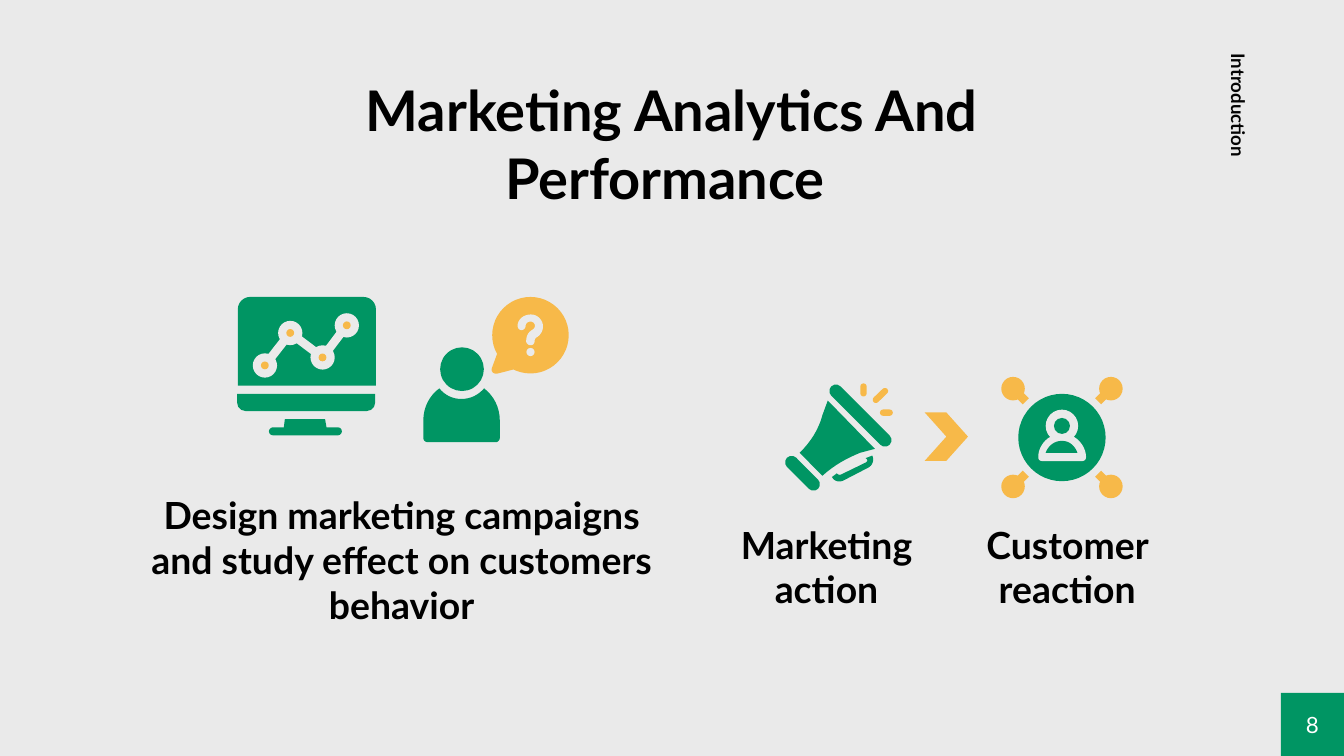
from math import atan2, degrees, hypot

from lxml import etree
from pptx import Presentation
from pptx.dml.color import RGBColor
from pptx.enum.shapes import MSO_CONNECTOR, MSO_SHAPE
from pptx.enum.text import MSO_ANCHOR, MSO_AUTO_SIZE, PP_ALIGN
from pptx.oxml.ns import qn
from pptx.util import Pt

OVAL, RECTANGLE = MSO_SHAPE.OVAL, MSO_SHAPE.RECTANGLE
ROUNDED, ROUND_TOP = MSO_SHAPE.ROUNDED_RECTANGLE, MSO_SHAPE.ROUND_2_SAME_RECTANGLE
CHEVRON, STRAIGHT = MSO_SHAPE.CHEVRON, MSO_CONNECTOR.STRAIGHT
TOP, MIDDLE = MSO_ANCHOR.TOP, MSO_ANCHOR.MIDDLE
LEFT, CENTER = PP_ALIGN.LEFT, PP_ALIGN.CENTER
NO_AUTOFIT = MSO_AUTO_SIZE.NONE

FONT = "Lato"
GREEN, YELLOW, GRAY = "009563", "F7B949", "EAEAEA"
BLACK, WHITE, INK = "000000", "FFFFFF", "030303"

TITLE = ("Marketing Analytics And Performance ", (116.6, 31, 486.7, 91.4))
CAPTIONS = [
    ("Design marketing campaigns and study effect on customers behavior",
     (77, 251.3, 276.5, 97)),
    ("Marketing action", (375.1, 243.4, 135.4, 120.2)),
    ("Customer reaction", (504, 243.4, 135.4, 120.2)),
]
SECTION = ("Introduction", (607.7, 53.3, 99.4, 36))
PAGE = ("8", (686.2, 371.2, 33.8, 33.8))

CHART_NODES = [(141.9, 195.8), (155.5, 178.4), (172.8, 191.5), (185.8, 174.3)]
MONITOR_NECK = [(152.6, 224.6), (174.2, 224.6), (175, 229.4), (152, 229.4)]
SHOULDERS = [
    (235.4, 208.1), (230.2, 211.9, 226.8, 218.2, 226.8, 225.4), (226.8, 234.7),
    (226.8, 235.8, 227.8, 236.9, 229, 236.9), (265.7, 236.9),
    (266.9, 236.9, 267.8, 235.8, 267.8, 234.7), (267.8, 225.4),
    (267.8, 218.2, 264.6, 212.2, 259.4, 208.1),
    (256.3, 211.7, 252, 213.8, 247.2, 213.8),
    (242.4, 213.8, 238.3, 211.7, 235.4, 208.1),
]
BUBBLE_TAIL = [
    (266.4, 189.4), (263.5, 197.3), (263.2, 198.2, 263.5, 199.2, 264.2, 199.7),
    (265, 200.2, 265.7, 200.3, 266.4, 200.2), (275, 198), (280, 185),
]
QUESTION_HOOK = [
    (284.4, 168.5), (288, 168.5, 290.9, 171.4, 290.9, 175),
    (290.9, 177.5, 289.4, 179.8, 287.3, 180.9),
    (286.7, 181.3, 286.4, 182.1, 286.4, 182.9),
    (286.4, 184.1, 285.5, 185, 284.4, 185),
    (283.1, 185, 281.9, 184.1, 281.9, 182.9),
    (281.9, 180, 283, 178, 285.1, 176.8),
    (286, 176.2, 286.6, 175.5, 286.6, 174.6),
    (286.6, 173.3, 285.5, 172.3, 284.2, 172.3),
    (282.9, 172.3, 281.6, 173.3, 281.6, 174.6),
    (281.6, 175.8, 280.6, 176.9, 279.4, 176.9),
    (278.2, 176.9, 277.3, 175.8, 277.3, 174.6),
    (277.3, 171.3, 280.4, 168.5, 284.4, 168.5),
]
HORN = [
    (443.5, 214.6), (440.6, 222.5), (438.5, 230.4, 434.2, 236.9, 428.4, 242.6),
    (440.6, 254.9), (447.1, 249.1, 453.6, 245.5, 460.8, 242.6), (468.7, 240.5),
]
HANDLE = [
    (467.3, 244.1), (463.7, 245.5), (465.1, 246.2, 464.8, 247.3, 463.7, 247.9),
    (450.7, 254.2), (450, 254.6, 449.2, 254.4, 448.6, 254), (448.4, 253.6),
    (445.7, 255.6), (446.4, 256.6), (447.8, 258.1, 450, 258.5, 452.2, 257.3),
    (465.1, 250.6), (467.3, 249.6, 468.5, 246.7, 467.3, 244.1),
]
MEGAPHONE_BARS = [
    ((447.8, 209.5), (474.1, 235.8), 7, GREEN),
    ((424.1, 247.7), (435.8, 259.4), 7, GREEN),
    ((469.2, 214.2), (474.1, 209.5), 3.4, YELLOW),
    ((462.6, 207.1), (462.6, 210.7), 3.4, YELLOW),
    ((473.1, 221.1), (476.6, 221.1), 3.4, YELLOW),
]
CUSTOMER_CENTER = (568.9, 234.4)
CUSTOMER_BODY = [
    (575.3, 234), (579, 236.2, 581.8, 240.5, 581.8, 244.8),
    (581.8, 246.2, 581, 247, 579.6, 247), (558.4, 247),
    (557, 247, 556.2, 246.2, 556.2, 244.8),
    (556.2, 240.5, 558.8, 236.2, 562.7, 234),
]
CUSTOMER_CHEST = [
    (568.9, 236.2), (564.8, 236.2, 561.4, 239, 560.2, 242.6), (577.2, 242.6),
    (576, 239, 573, 236.2, 568.9, 236.2),
]

presentation = Presentation()
presentation.slide_width, presentation.slide_height = Pt(720), Pt(405)
slide = presentation.slides.add_slide(presentation.slide_layouts[5])


def paint(fill, color):
    fill.solid()
    fill.fore_color.rgb = RGBColor.from_string(color)


def finish(shape, color):
    shape.shadow.inherit = False
    paint(shape.fill, color)
    shape.line.fill.background()
    return shape


def add_preset(kind, box, color, adjustments=()):
    shape = slide.shapes.add_shape(kind, *map(Pt, box))
    for index, value in enumerate(adjustments):
        shape.adjustments[index] = value
    return finish(shape, color)


def add_disc(center, radius, color):
    x, y = center
    add_preset(OVAL, (x - radius, y - radius, 2 * radius, 2 * radius), color)


def add_capsule(start, end, width, color):
    (x1, y1), (x2, y2) = start, end
    length = hypot(x2 - x1, y2 - y1) + width
    box = ((x1 + x2 - length) / 2, (y1 + y2 - width) / 2, length, width)
    add_preset(ROUNDED, box, color, [0.5]).rotation = degrees(atan2(y2 - y1, x2 - x1))


def add_line(start, end, width, color):
    connector = slide.shapes.add_connector(STRAIGHT, *map(Pt, (*start, *end)))
    connector.line.width = Pt(width)
    paint(connector.line.fill, color)
    etree.SubElement(connector._element.spPr, qn("a:effectLst"))


def add_outline(segments, color, steps=8):
    points = [segments[0]]
    for segment in segments[1:]:
        if len(segment) == 2:
            points.append(segment)
            continue
        controls = [points[-1], segment[:2], segment[2:4], segment[4:]]
        for step in range(1, steps + 1):
            t = step / steps
            weights = ((1 - t) ** 3, 3 * t * (1 - t) ** 2, 3 * t * t * (1 - t), t ** 3)
            points.append(tuple(
                sum(weight * control[axis] for weight, control in zip(weights, controls))
                for axis in (0, 1)))
    points = [(Pt(x), Pt(y)) for x, y in points]
    builder = slide.shapes.build_freeform(*points[0], scale=1)
    builder.add_line_segments(points[1:], close=True)
    finish(builder.convert_to_shape(), color)


def write(shape, text, size, color, bold=True, align=CENTER, anchor=MIDDLE, side=0):
    frame = shape.text_frame
    frame.word_wrap, frame.auto_size, frame.vertical_anchor = True, NO_AUTOFIT, anchor
    frame.margin_left = frame.margin_right = Pt(side)
    frame.margin_top = frame.margin_bottom = Pt(7.2)
    paragraph = frame.paragraphs[0]
    paragraph.alignment = align
    run = paragraph.add_run()
    run.text = text
    run.font.name, run.font.size, run.font.bold = FONT, Pt(size), bold
    run.font.color.rgb = RGBColor.from_string(color)
    return paragraph


def draw_monitor():
    add_preset(ROUND_TOP, (127.4, 159.1, 74, 47.5), GREEN, [0.14, 0])
    add_preset(ROUND_TOP, (127, 211, 74, 9.2), GREEN, [0, 0.5])
    add_outline(MONITOR_NECK, GREEN)
    add_capsule((146.2, 231.1), (181, 231.1), 4.3, GREEN)
    for start, end in zip(CHART_NODES, CHART_NODES[1:]):
        add_line(start, end, 4.6, GRAY)
    for node in CHART_NODES:
        add_disc(node, 6.5, GRAY)
        add_disc(node, 2.1, YELLOW)


def draw_asking_person():
    add_disc((247.5, 197.8), 11.7, GREEN)
    add_outline(SHOULDERS, GREEN)
    add_disc((284.2, 179.6), 20.5, YELLOW)
    add_outline(BUBBLE_TAIL, YELLOW)
    add_outline(QUESTION_HOOK, GRAY)
    add_disc((284.2, 188.6), 2.2, GRAY)


def draw_megaphone():
    for bar in MEGAPHONE_BARS:
        add_capsule(*bar)
    add_outline(HORN, GREEN)
    add_outline(HANDLE, GREEN)


def draw_customer():
    x, y = CUSTOMER_CENTER
    for dx in (-1, 1):
        for dy in (-1, 1):
            satellite = (x + 26.2 * dx, y + 26.2 * dy)
            add_disc(satellite, 6.3, YELLOW)
            add_line(satellite, (x + 19.4 * dx, y + 19.4 * dy), 4.6, YELLOW)
    add_disc(CUSTOMER_CENTER, 23.4, GREEN)
    add_disc((x, 228.2), 8.7, GRAY)
    add_outline(CUSTOMER_BODY, GRAY)
    add_disc((x, 228.2), 4.3, GREEN)
    add_outline(CUSTOMER_CHEST, GREEN)


paint(slide.background.fill, GRAY)

text, box = TITLE
title = slide.shapes.title
title.left, title.top, title.width, title.height = map(Pt, box)
write(title, text, 30, BLACK)

text, box = PAGE
write(add_preset(RECTANGLE, box, GREEN), text, 12, WHITE, bold=False, side=7.2)

text, box = SECTION
section = slide.shapes.add_textbox(*map(Pt, box))
section.rotation = 90
write(section, text, 10, INK, align=LEFT, anchor=TOP, side=7.2).line_spacing = 0.9

for text, box in CAPTIONS:
    write(slide.shapes.add_textbox(*map(Pt, box)), text, 20, BLACK)

draw_monitor()
draw_asking_person()
draw_megaphone()
add_preset(CHEVRON, (495.4, 221, 23.2, 25.9), YELLOW)
draw_customer()

presentation.save("out.pptx")
